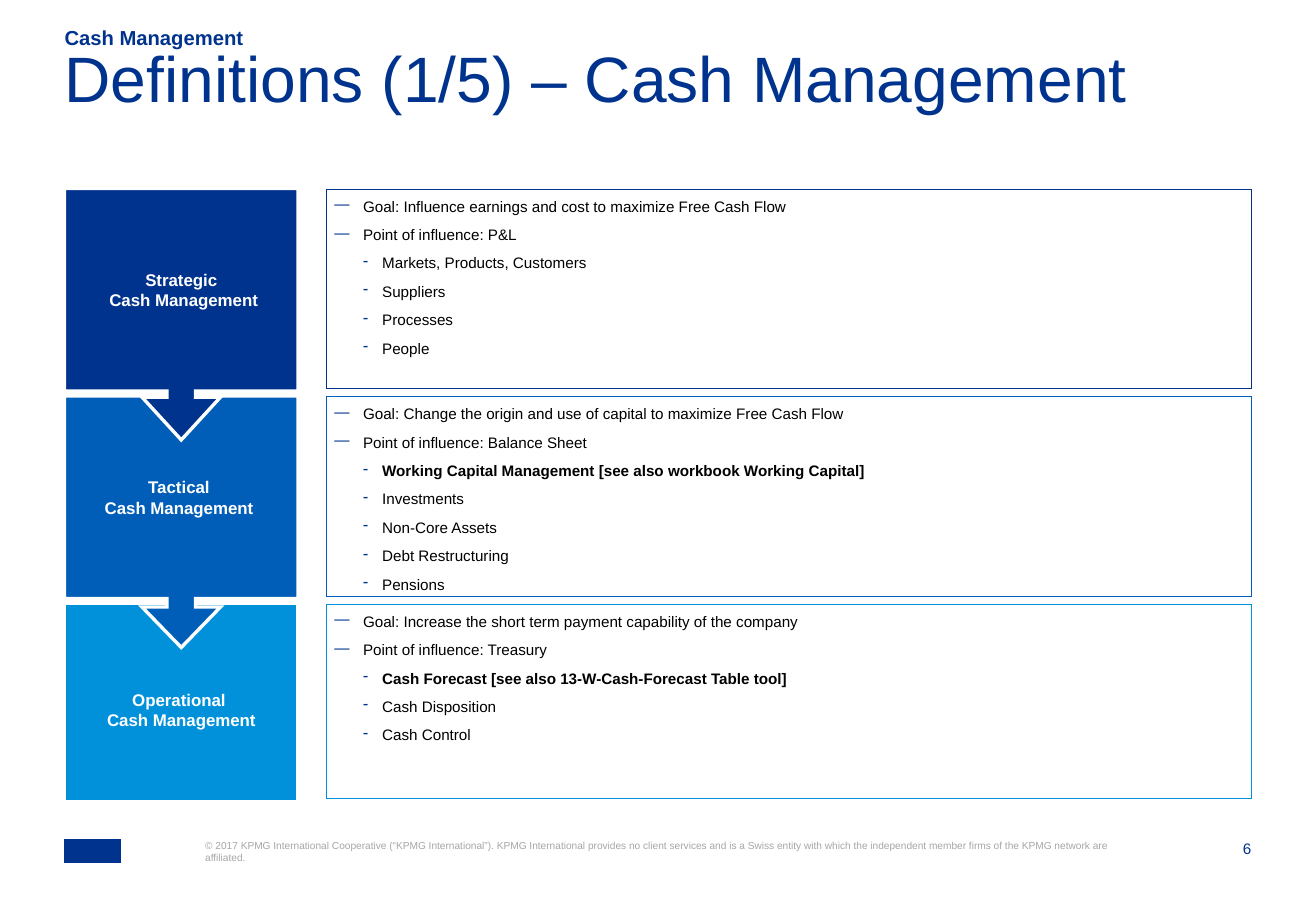
from dataclasses import dataclass

from lxml import etree
from pptx import Presentation
from pptx.dml.color import RGBColor
from pptx.enum.shapes import MSO_SHAPE
from pptx.enum.text import MSO_ANCHOR, MSO_AUTO_SIZE, PP_ALIGN
from pptx.oxml.ns import qn
from pptx.util import Cm, Pt

RECTANGLE = MSO_SHAPE.RECTANGLE
ARROW_CALLOUT = MSO_SHAPE.DOWN_ARROW_CALLOUT
TOP, MIDDLE, BOTTOM = MSO_ANCHOR.TOP, MSO_ANCHOR.MIDDLE, MSO_ANCHOR.BOTTOM
LEFT, CENTER, RIGHT = PP_ALIGN.LEFT, PP_ALIGN.CENTER, PP_ALIGN.RIGHT
NO_AUTOFIT = MSO_AUTO_SIZE.NONE
TITLE_ONLY = 5


@dataclass(frozen=True)
class Theme:
    font: str = "Arial"
    navy: str = "00338D"
    blue: str = "005EB8"
    sky: str = "0091DA"
    white: str = "FFFFFF"
    black: str = "000000"
    grey: str = "A6A6A6"
    title: float = 38
    section: float = 12
    stage: float = 10
    body: float = 9
    footer: float = 6


THEME = Theme()
MARGIN = 1.35
STAGE_TOP, STAGE_PITCH, STAGE_WIDTH = 3.94, 4.34, 4.88
DETAIL_LEFT, DETAIL_TOP, DETAIL_WIDTH = 6.83, 3.96, 19.33
DETAIL_INSET = 0.16
BULLETS = {1: ("—", 0.6, -0.6), 2: ("-", 1.0, -0.4)}

STAGES = [
    {
        "color": THEME.navy,
        "name": ["Strategic", " Cash Management"],
        "height": 5.26,
        "arrow": (0.122, 0.168, 0.183, 0.806),
        "detail_height": 4.17,
        "goals": ["Goal: Influence earnings and cost to maximize Free Cash Flow",
                  "Point of influence: P&L"],
        "levers": ["Markets, Products, Customers", "Suppliers", "Processes", "People"],
        "highlight": None,
    },
    {
        "color": THEME.blue,
        "name": ["Tactical ", "Cash Management "],
        "height": 5.26,
        "arrow": (0.122, 0.168, 0.173, 0.806),
        "detail_height": 4.17,
        "goals": ["Goal: Change the origin and use of capital to maximize Free Cash Flow",
                  "Point of influence: Balance Sheet"],
        "levers": ["Working Capital Management [see also workbook Working Capital]",
                   "Investments", "Non-Core Assets", "Debt Restructuring", "Pensions"],
        "highlight": 0,
    },
    {
        "color": THEME.sky,
        "name": ["Operational ", "Cash Management"],
        "height": 4.14,
        "arrow": None,
        "detail_height": 4.06,
        "goals": ["Goal: Increase the short term payment capability of the company",
                  "Point of influence: Treasury"],
        "levers": ["Cash Forecast [see also 13-W-Cash-Forecast Table tool]",
                   "Cash Disposition", "Cash Control"],
        "highlight": 0,
    },
]

COPYRIGHT = (
    "© 2017 KPMG International Cooperative (“KPMG International”). KPMG International "
    "provides no client services and is a Swiss entity with which the independent member "
    "firms of the KPMG network are affiliated."
)


def set_frame(frame, anchor, left=0, top=0, right=0, bottom=0):
    frame.word_wrap = True
    frame.auto_size = NO_AUTOFIT
    frame.vertical_anchor = anchor
    frame.margin_left, frame.margin_top = Cm(left), Cm(top)
    frame.margin_right, frame.margin_bottom = Cm(right), Cm(bottom)


def next_paragraph(frame, index):
    return frame.add_paragraph() if index else frame.paragraphs[0]


def add_run(paragraph, text, size, color, bold=False):
    run = paragraph.add_run()
    run.text = text
    run.font.name = THEME.font
    run.font.size = Pt(size)
    run.font.bold = bold
    run.font.color.rgb = RGBColor.from_string(color)


def add_bullet(paragraph, level):
    mark, indent, hanging = BULLETS[level]
    paragraph.level = level
    properties = paragraph._p.get_or_add_pPr()
    properties.set("marL", str(Cm(indent)))
    properties.set("indent", str(Cm(hanging)))
    bullet_color = etree.SubElement(properties, qn("a:buClr"))
    etree.SubElement(bullet_color, qn("a:srgbClr"), val=THEME.navy)
    etree.SubElement(properties, qn("a:buChar"), char=mark)


def add_title(slide, text):
    title = slide.shapes.title
    title.left, title.top = Cm(MARGIN), Cm(1.24)
    title.width, title.height = Cm(24.8), Cm(2)
    set_frame(title.text_frame, TOP)
    paragraph = title.text_frame.paragraphs[0]
    paragraph.alignment = LEFT
    paragraph.line_spacing = 0.7
    add_run(paragraph, text, THEME.title, THEME.navy)


def add_label(slide, box, text, size, color, align=LEFT, anchor=TOP, bold=False):
    label = slide.shapes.add_textbox(*map(Cm, box))
    set_frame(label.text_frame, anchor)
    paragraph = label.text_frame.paragraphs[0]
    paragraph.alignment = align
    add_run(paragraph, text, size, color, bold)


def add_block(slide, preset, box, fill, line, line_width):
    block = slide.shapes.add_shape(preset, *map(Cm, box))
    block.shadow.inherit = False
    block.fill.solid()
    block.fill.fore_color.rgb = RGBColor.from_string(fill)
    block.line.color.rgb = RGBColor.from_string(line)
    block.line.width = Pt(line_width)
    outline = block._element.spPr.find(qn("a:ln"))
    etree.SubElement(outline, qn("a:miter"), lim="800000")
    return block


def add_stage(slide, row, stage):
    box = (MARGIN, STAGE_TOP + row * STAGE_PITCH, STAGE_WIDTH, stage["height"])
    preset = ARROW_CALLOUT if stage["arrow"] else RECTANGLE
    block = add_block(slide, preset, box, stage["color"], THEME.white, 2)
    if stage["arrow"]:
        for index, value in enumerate(stage["arrow"]):
            block.adjustments[index] = value
        set_frame(block.text_frame, MIDDLE)
    else:
        set_frame(block.text_frame, MIDDLE, top=0.71, bottom=0.41)
    for index, text in enumerate(stage["name"]):
        paragraph = next_paragraph(block.text_frame, index)
        paragraph.alignment = CENTER
        add_run(paragraph, text, THEME.stage, THEME.white, True)


def add_detail(slide, row, stage):
    box = (DETAIL_LEFT, DETAIL_TOP + row * STAGE_PITCH, DETAIL_WIDTH, stage["detail_height"])
    block = add_block(slide, RECTANGLE, box, THEME.white, stage["color"], 0.75)
    set_frame(block.text_frame, TOP, *[DETAIL_INSET] * 4)
    entries = [(1, text, False) for text in stage["goals"]]
    entries += [(2, text, index == stage["highlight"])
                for index, text in enumerate(stage["levers"])]
    for index, (level, text, bold) in enumerate(entries):
        paragraph = next_paragraph(block.text_frame, index)
        paragraph.alignment = LEFT
        paragraph.space_after = Pt(6)
        add_bullet(paragraph, level)
        add_run(paragraph, text, THEME.body, THEME.black, bold)


def main():
    deck = Presentation()
    deck.slide_width, deck.slide_height = Cm(27.51), Cm(19.05)
    slide = deck.slides.add_slide(deck.slide_layouts[TITLE_ONLY])
    add_title(slide, "Definitions (1/5) – Cash Management")
    add_label(slide, (MARGIN, 0.56, 22.94, 0.48), "Cash Management",
              THEME.section, THEME.navy, anchor=BOTTOM, bold=True)
    for row, stage in reversed(list(enumerate(STAGES))):
        add_stage(slide, row, stage)
        add_detail(slide, row, stage)
    add_block(slide, RECTANGLE, (MARGIN, 17.55, 1.17, 0.48), THEME.navy, THEME.navy, 0.25)
    add_label(slide, (4.29, 17.55, 19.02, 1.04), COPYRIGHT, THEME.footer, THEME.grey)
    add_label(slide, (25.07, 17.55, 1.09, 0.41), "6", THEME.body, THEME.navy, RIGHT)
    deck.save("out.pptx")


if __name__ == "__main__":
    main()
